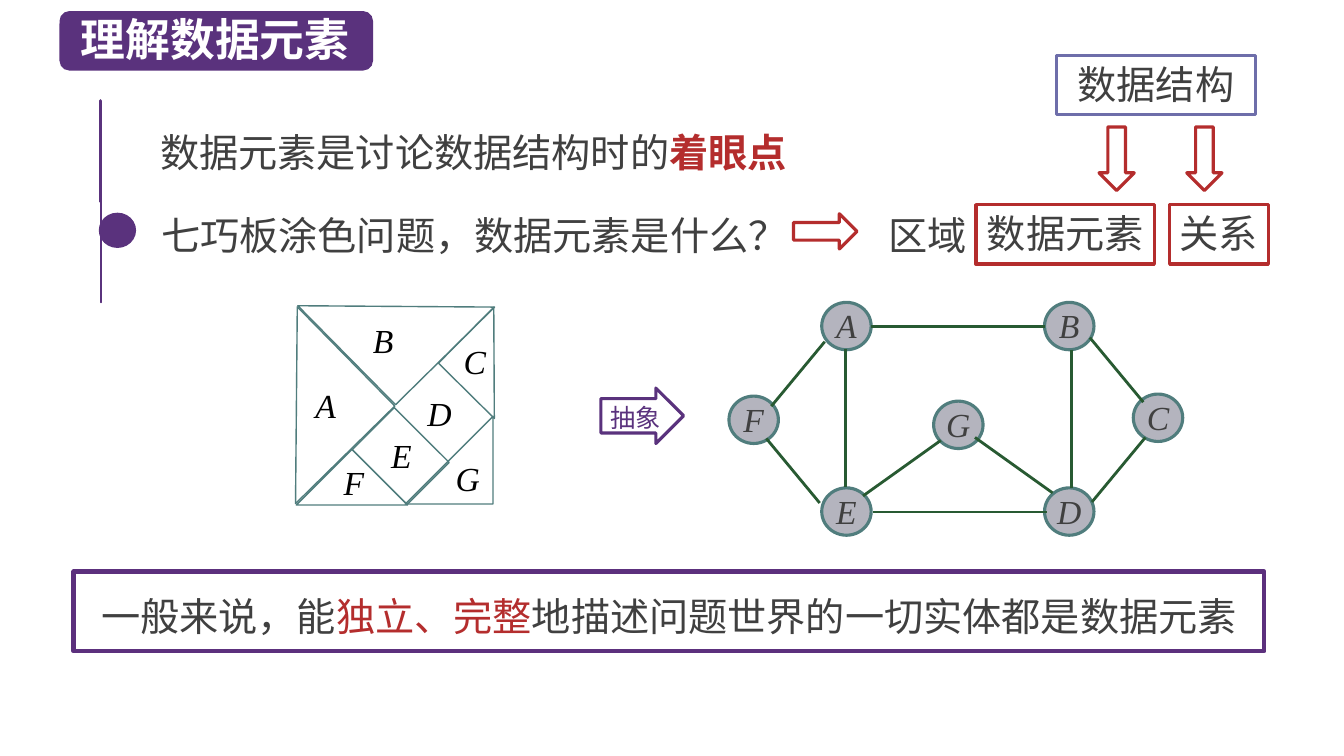
from math import cos, radians, sin

from lxml.etree import SubElement
from pptx import Presentation
from pptx.dml.color import RGBColor
from pptx.enum.shapes import MSO_CONNECTOR, MSO_SHAPE
from pptx.enum.text import MSO_ANCHOR, MSO_AUTO_SIZE, PP_ALIGN
from pptx.oxml.ns import qn
from pptx.util import Inches, Pt

COLORS = {"purple": "5A327D", "frame": "5C307D", "violet": "6E6EAA", "red": "B42D2D",
          "text": "404040", "black": "000000", "white": "FFFFFF", "teal": "507D7D",
          "green": "285A32", "node": "B4B4BE"}
CJK, LATIN = "Noto Sans CJK SC", "Times New Roman"

BODY = {"name": CJK, "size": Pt(28), "color": "text"}
KEY = BODY | {"color": "red"}
TITLE = {"name": CJK, "size": Pt(32), "bold": True, "color": "white"}
ABSTRACT = {"name": CJK, "size": Pt(18), "color": "purple"}
PIECE = {"name": LATIN, "size": Pt(24), "italic": True, "color": "black"}
NODE = PIECE | {"color": "text"}
CENTERED = {"alignment": PP_ALIGN.CENTER}

title_runs = [("理解数据元素", TITLE)]
statements = [  # left, top, width, height, runs
    (1.49, 1.13, 7.08, 0.76, [("数据元素是讨论数据结构时的", BODY), ("着眼点", KEY | {"bold": True})]),
    (1.5, 1.95, 6.37, 0.76, [("七巧板涂色问题，数据元素是什么？", BODY)]),
    (8.71, 1.95, 1.17, 0.76, [("区域", BODY)]),
]
summary_runs = [("一般来说，能", BODY), ("独立、完整", KEY),
                ("地描述问题世界的一切实体都是数据元素", BODY)]
concepts = [  # text, box, outline, outline width, side inset
    ("数据结构", (10.48, 0.55, 1.97, 0.59), "violet", 2, 0.1),
    ("数据元素", (9.68, 2.03, 1.77, 0.59), "red", 2.25, 0),
    ("关系", (11.6, 2.03, 0.98, 0.59), "red", 2.25, 0),
]
red_arrows = [(10.76, 1.4, 90), (11.63, 1.4, 90), (7.87, 2.12, 0)]  # left, top, rotation

TRIANGLE, RECTANGLE = MSO_SHAPE.RIGHT_TRIANGLE, MSO_SHAPE.RECTANGLE
tangram_pieces = [  # outline, box, rotation
    (TRIANGLE, (2.25, 3.33, 1.38, 1.38), 225.5),
    (TRIANGLE, (3.1, 4.62, 0.78, 0.78), 135),
    (RECTANGLE, (3.68, 4.14, 0.59, 0.77), 315),
    (TRIANGLE, (4.51, 3.21, 0.78, 0.78), 44.7),
    (TRIANGLE, (4.02, 4.13, 0.87, 0.87), 270),
    (TRIANGLE, (3.24, 2.35, 1.38, 1.38), 315.4),
]
tangram_labels = {"A": (3.03, 3.77), "B": (3.6, 3.12), "C": (4.5, 3.33), "D": (4.14, 3.85),
                  "E": (3.78, 4.27), "F": (3.31, 4.53), "G": (4.42, 4.49)}

graph_nodes = {"A": (8.15, 3), "B": (10.36, 3), "C": (11.24, 3.91), "D": (10.36, 4.84),
               "E": (8.15, 4.84), "F": (7.23, 3.93), "G": (9.26, 3.98)}
graph_edges = {
    "AB": (8.64, 3.24, 10.36, 3.24), "AE": (8.39, 3.46, 8.39, 4.83),
    "BD": (10.63, 3.47, 10.63, 4.84), "ED": (8.66, 5.08, 10.38, 5.08),
    "GE": (9.33, 4.37, 8.56, 4.92), "GD": (9.67, 4.34, 10.44, 4.89),
    "AF": (8.18, 3.39, 7.65, 4.03), "EF": (8.13, 4.99, 7.6, 4.35),
    "CD": (11.36, 4.34, 10.83, 4.98), "CB": (11.34, 3.99, 10.81, 3.35),
}


def arc(center_x, center_y, radius, start, end, steps=16):
    """Points along a circle, angles in degrees, clockwise from the right."""
    angles = [radians(start + (end - start) * i / steps) for i in range(steps + 1)]
    return [(center_x + radius * cos(a), center_y + radius * sin(a)) for a in angles]


paper_clip = [(1.19, 1.62), *arc(1.26, 1.34, 0.13, 48, -132), *arc(1.03, 1.54, 0.09, -132, -312),
              *arc(1.26, 1.34, 0.06, 48, -132), (1.03, 1.5)]
left_bell = arc(1.01, 2.14, 0.08, 140, 322)
right_bell = [(2.33 - x, y) for x, y in left_bell]
clock_feet = [(1.03, 2.53), (1.06, 2.48), (1.27, 2.48), (1.31, 2.53)]
clock_hands = [(1.17, 2.16), (1.17, 2.28), (1.24, 2.28)]

prs = Presentation()
prs.slide_width, prs.slide_height = Inches(13.33), Inches(7.5)
slide = prs.slides.add_slide(prs.slide_layouts[5])
shapes = slide.shapes


def rgb(color):
    return RGBColor.from_string(COLORS[color])


def paint(shape, fill=None, line=None, width=1):
    shape.shadow.inherit = False
    if fill:
        shape.fill.solid()
        shape.fill.fore_color.rgb = rgb(fill)
    else:
        shape.fill.background()
    if line:
        shape.line.color.rgb = rgb(line)
        shape.line.width = Pt(width)
    else:
        shape.line.fill.background()


def add_preset(preset, box, rotation=0, **colors):
    shape = shapes.add_shape(preset, *map(Inches, box))
    shape.rotation = rotation
    paint(shape, **colors)
    return shape


def add_outline(points, closed=False, **colors):
    builder = shapes.build_freeform(*points[0], scale=Inches(1))
    builder.add_line_segments(points[1:], close=closed)
    paint(builder.convert_to_shape(), **colors)


def write(shape, runs, paragraph_format=None, anchor=MSO_ANCHOR.TOP, insets=(0.1, 0.05, 0.1, 0.05)):
    """Fill the shape with one paragraph; insets run left, top, right, bottom."""
    frame = shape.text_frame
    left, top, right, bottom = map(Inches, insets)
    frame_format = {"word_wrap": True, "auto_size": MSO_AUTO_SIZE.NONE, "vertical_anchor": anchor,
                    "margin_left": left, "margin_top": top,
                    "margin_right": right, "margin_bottom": bottom}
    for attribute, value in frame_format.items():
        setattr(frame, attribute, value)
    paragraph = frame.paragraphs[0]
    for attribute, value in ({"alignment": PP_ALIGN.LEFT} | (paragraph_format or {})).items():
        setattr(paragraph, attribute, value)
    for text, font_format in runs:
        run = paragraph.add_run()
        run.text = text
        for attribute, value in font_format.items():
            if attribute == "color":
                run.font.color.rgb = rgb(value)
            else:
                setattr(run.font, attribute, value)
        SubElement(run._r.get_or_add_rPr(), qn("a:ea"), typeface=font_format["name"])


add_preset(MSO_SHAPE.ROUNDED_RECTANGLE, (0.59, 0.11, 3.11, 0.59), fill="purple")
title = shapes.title
title.left, title.top, title.width, title.height = map(Inches, (0.7, 0.07, 3.02, 0.64))
write(title, title_runs)
shapes._spTree.append(title._element)  # in front of its banner

summary = add_preset(RECTANGLE, (0.73, 5.67, 11.81, 0.79), line="frame", width=3)
write(summary, summary_runs, CENTERED | {"line_spacing": Pt(40)}, MSO_ANCHOR.MIDDLE)

for text, box, outline, width, inset in concepts:
    concept = add_preset(RECTANGLE, box, line=outline, width=width)
    write(concept, [(text, BODY)], CENTERED, insets=(inset, 0.05, inset, 0.05))
for left, top, rotation in red_arrows:
    add_preset(MSO_SHAPE.RIGHT_ARROW, (left, top, 0.63, 0.35), rotation, line="red", width=2.25)

for *box, runs in statements:
    write(shapes.add_textbox(*map(Inches, box)), runs, {"line_spacing": 1.2})

add_outline(paper_clip, line="purple", width=2.25)
add_outline(clock_feet, line="purple", width=1.25)
for bell in (left_bell, right_bell):
    add_outline(bell, closed=True, fill="purple")
add_preset(MSO_SHAPE.OVAL, (0.98, 2.11, 0.37, 0.35), fill="purple")
add_outline(clock_hands, line="white", width=2)

for preset, box, rotation in tangram_pieces:
    add_preset(preset, box, rotation, line="teal")
for letter, corner in tangram_labels.items():
    write(shapes.add_textbox(*map(Inches, (*corner, 0.48, 0.5))), [(letter, PIECE)])

abstraction = add_preset(MSO_SHAPE.RIGHT_ARROW, (5.96, 3.85, 0.82, 0.55), line="purple", width=2.25)
abstraction.adjustments[0] = 0.62
write(abstraction, [("抽象", ABSTRACT)], CENTERED | {"line_spacing": Pt(24)},
      MSO_ANCHOR.MIDDLE, (0.04, 0, 0, 0))

for letter, corner in graph_nodes.items():
    node = add_preset(MSO_SHAPE.OVAL, (*corner, 0.49, 0.47), fill="node", line="teal", width=2.25)
    write(node, [(letter, NODE)], CENTERED | {"line_spacing": Pt(26)}, insets=(0, 0, 0, 0))
for ends in graph_edges.values():
    edge = shapes.add_connector(MSO_CONNECTOR.STRAIGHT, *map(Inches, ends))
    edge.line.color.rgb = rgb("green")
    edge.line.width = Pt(2)
    SubElement(edge._element.spPr, qn("a:effectLst"))

prs.save("out.pptx")
